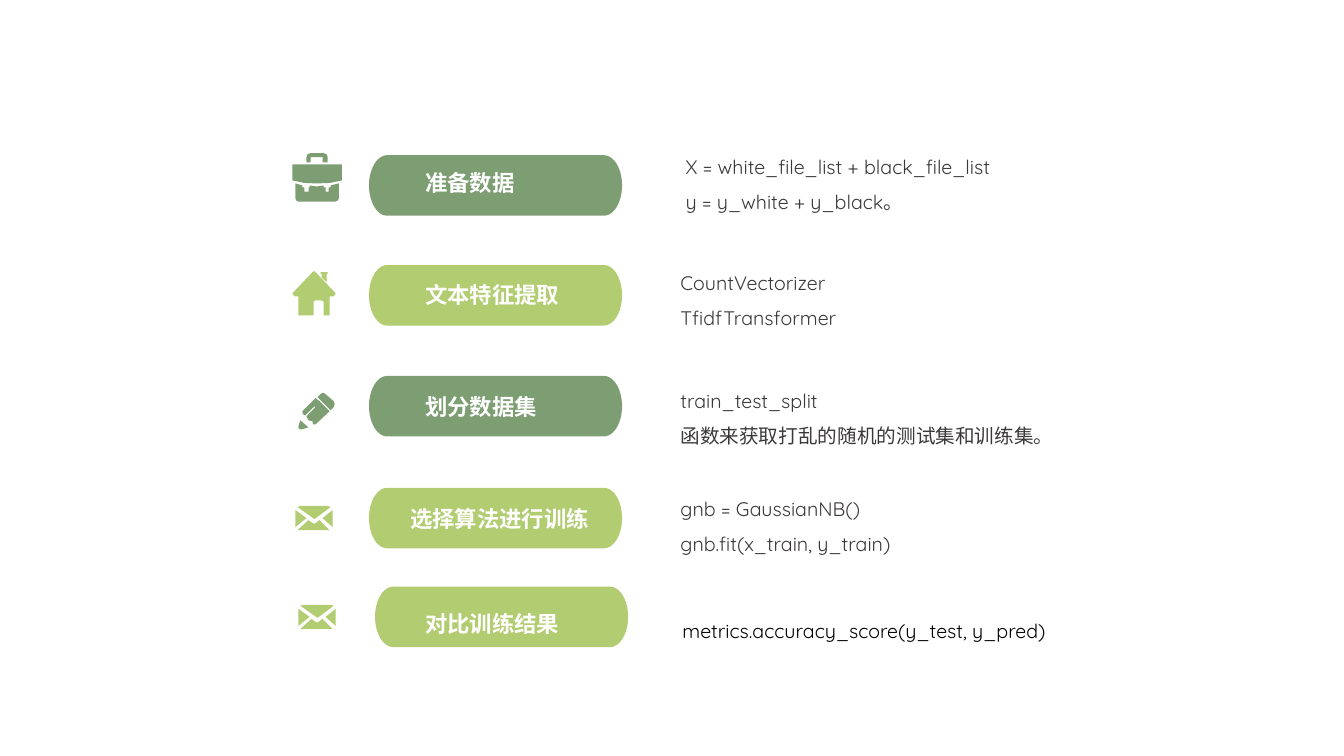
from math import cos, pi, sin

from pptx import Presentation
from pptx.dml.color import RGBColor
from pptx.enum.text import MSO_AUTO_SIZE as AutoSize
from pptx.util import Inches, Pt

FONT = "Quicksand"
DARK_GREEN, LIGHT_GREEN = "7D9D72", "B1CC71"
WHITE, GREY, BLACK = "FFFFFF", "3B3838", "000000"

# Banner size and the radii of its rounded ends, in inches
BANNER_WIDTH, BANNER_HEIGHT, END_WIDTH = 2.51, 0.6, 0.18
ARC_STEPS = 24

# Icon outlines, in hundredths of an inch from the icon's top left corner
BRIEFCASE = [
    [(46, 30), (46, 45), (45, 47), (42, 48), (6, 48), (4, 47), (3, 45), (3, 30),
     (10, 32), (10, 34), (12, 34), (12, 38), (16, 38), (16, 34), (17, 34),
     (17, 32), (24, 33), (31, 32), (31, 34), (33, 34), (33, 38), (36, 38),
     (36, 34), (38, 34), (38, 32)],
    [(18, 0), (31, 0), (34, 1), (35, 4), (35, 9), (30, 9), (30, 4), (18, 4),
     (18, 9), (14, 9), (14, 4), (15, 1)],
    [(0, 11), (0, 27), (12, 29.5), (24, 30), (37, 29.5), (49, 27), (49, 11)],
]
HOUSE = [
    [(37, 25), (37, 44), (31, 44), (31, 30), (28, 29), (23, 29), (21, 30),
     (21, 44), (6, 44), (6, 25), (2, 25), (0, 22), (20, 1), (22, 0), (23, 1),
     (43, 22), (41, 25)],
    [(34, 3), (35, 3), (35, 1), (28, 1), (28, 3), (29, 3), (29, 6), (34, 11)],
]
PENCIL = [
    [(32, 18), (35, 15), (36, 12), (35, 9), (27, 2), (24.5, 0.5), (22, 2), (19, 5)],
    [(21, 9), (31, 19), (17, 32), (14.5, 32), (14, 29), (10, 28), (8, 24),
     (17, 15), (16, 14), (7, 23), (4.5, 22), (4, 19), (17, 6)],
    [(2, 28), (0, 34), (0.5, 36.5), (3, 37), (10, 35)],
]
ENVELOPE = [
    [(5, 0), (32, 0), (35, 1), (19, 13), (2, 1)],
    [(37, 4), (27, 12), (37, 21)],
    [(34, 24), (2, 24), (13, 14), (17, 17), (19, 17.5), (20, 17), (24, 14)],
    [(0, 21), (11, 12), (0, 4)],
]

# Colour, icon, icon corner, banner corner, title, title corner
STEPS = [
    (DARK_GREEN, BRIEFCASE, (2.9, 1.52), (3.66, 1.54), "准备数据", (4.12, 1.63, 1.11)),
    (LIGHT_GREEN, HOUSE, (2.9, 2.69), (3.66, 2.63), "文本特征提取", (4.12, 2.74, 1.56)),
    (DARK_GREEN, PENCIL, (2.96, 3.89), (3.66, 3.73), "划分数据集", (4.12, 3.85, 1.33)),
    (LIGHT_GREEN, ENVELOPE, (2.93, 5.02), (3.66, 4.84), "选择算法进行训练", (3.97, 4.96, 2.01)),
    (LIGHT_GREEN, ENVELOPE, (2.96, 6), (3.72, 5.82), "对比训练结果", (4.12, 6, 1.56)),
]

# Left, top, height, left margin, colour, lines
DETAILS = [
    (6.65, 1.37, 0.76, 0.15, GREY,
     ["X = white_file_list + black_file_list", "y = y_white + y_black。"]),
    (6.65, 2.52, 0.81, 0.1, GREY, ["CountVectorizer", "TfidfTransformer"]),
    (6.65, 3.69, 0.76, 0.1, GREY,
     ["train_test_split", "函数来获取打乱的随机的测试集和训练集。"]),
    (6.65, 4.76, 0.81, 0.1, GREY, ["gnb = GaussianNB()", "gnb.fit(x_train, y_train)"]),
    (6.67, 5.97, 0.41, 0.1, BLACK, ["metrics.accuracy_score(y_test, y_pred)"]),
]


def color(hex_code):
    return RGBColor.from_string(hex_code)


def add_outline(page, contours, fill):
    """Draw closed contours, given in inches, as one filled shape."""
    contours = [[(Inches(x), Inches(y)) for x, y in points] for points in contours]
    builder = page.shapes.build_freeform(*contours[0][0])
    for number, points in enumerate(contours):
        if number:
            builder.move_to(*points[0])
        builder.add_line_segments(points[1:], close=True)
    shape = builder.convert_to_shape()
    shape.shadow.inherit = False
    shape.fill.solid()
    shape.fill.fore_color.rgb = color(fill)
    shape.line.fill.background()


def add_icon(page, icon, left, top, fill):
    contours = [[(left + x / 100, top + y / 100) for x, y in points] for points in icon]
    add_outline(page, contours, fill)


def add_banner(page, left, top, fill):
    radius = BANNER_HEIGHT / 2
    points = []
    # Half ellipses: right end downwards, then left end upwards
    for center, start in ((left + BANNER_WIDTH - END_WIDTH, -pi / 2),
                          (left + END_WIDTH, pi / 2)):
        for step in range(ARC_STEPS + 1):
            angle = start + pi * step / ARC_STEPS
            points.append((center + END_WIDTH * cos(angle),
                           top + radius + radius * sin(angle)))
    add_outline(page, [points], fill)


def add_text(page, left, top, width, height, lines, font,
             fill, wrap=True, margin=0.1, spacing=1.0):
    box = page.shapes.add_textbox(Inches(left), Inches(top), Inches(width), Inches(height))
    frame = box.text_frame
    frame_format = {"word_wrap": wrap, "auto_size": AutoSize.SHAPE_TO_FIT_TEXT,
                    "margin_left": Inches(margin)}
    for name, value in frame_format.items():
        setattr(frame, name, value)
    for number, line in enumerate(lines):
        para = frame.add_paragraph() if number else frame.paragraphs[0]
        para.line_spacing = spacing
        span = para.add_run()
        span.text = line
        for name, value in font.items():
            setattr(span.font, name, value)
        span.font.color.rgb = color(fill)


def main():
    deck = Presentation()
    deck.slide_width, deck.slide_height = Inches(13.33), Inches(7.5)
    page = deck.slides.add_slide(deck.slide_layouts[6])

    # Steps: icon, banner and title
    title_font = {"name": FONT, "size": Pt(16), "bold": True}
    for fill, icon, icon_corner, banner_corner, title, title_place in STEPS:
        add_icon(page, icon, *icon_corner, fill)
        add_banner(page, *banner_corner, fill)
        add_text(page, *title_place, 0.37, [title], title_font, WHITE, wrap=False)

    # Details beside each step
    detail_font = {"name": FONT, "size": Pt(14)}
    for left, top, height, margin, fill, lines in DETAILS:
        add_text(page, left, top, 4.24, height, lines, detail_font, fill,
                 margin=margin, spacing=1.5)

    deck.save("out.pptx")


if __name__ == "__main__":
    main()
